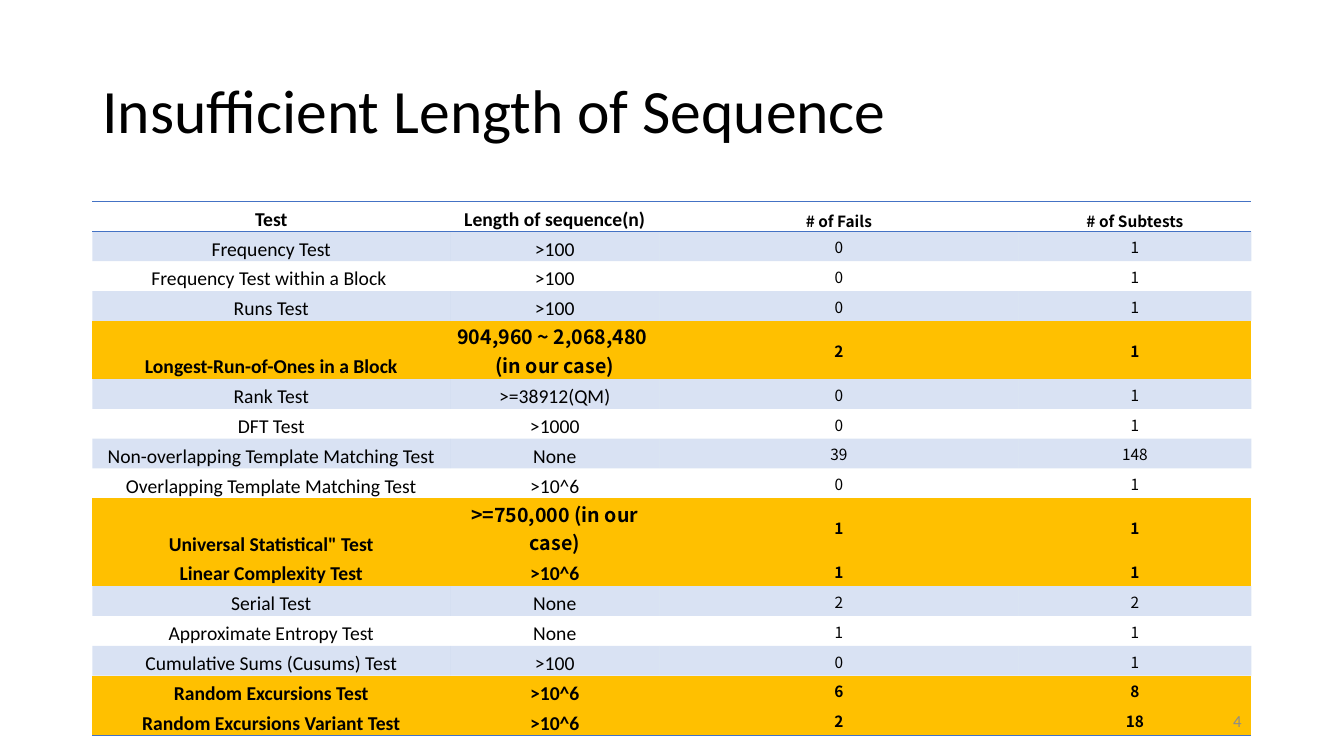
from pptx import Presentation
from pptx.dml.color import RGBColor
from pptx.enum.text import MSO_ANCHOR, PP_ALIGN
from pptx.oxml import parse_xml
from pptx.oxml.ns import nsdecls, qn
from pptx.util import Pt

MIDDLE, BOTTOM = MSO_ANCHOR.MIDDLE, MSO_ANCHOR.BOTTOM
LEFT, CENTER, RIGHT = PP_ALIGN.LEFT, PP_ALIGN.CENTER, PP_ALIGN.RIGHT

THEME = {
    "text": "000000", "muted": "8C8C8C", "accent": "4472C4", "highlight": "FFC000",
    "latin": "Calibri", "cjk": "Noto Sans CJK TC", "band_alpha": 20,
    "title_size": 44, "label_size": 14, "count_size": 11, "number_size": 12,
}
NO_STYLE = "{2D5ABB26-0587-4C30-8999-92F81FD0307C}"
CELL_FORMAT = {"margin_left": Pt(0.72), "margin_right": Pt(0.72),
               "margin_top": Pt(0.72), "margin_bottom": Pt(0)}

# Test, required length, fails, subtests
HEADINGS = ("Test", "Length of sequence(n)", "# of Fails", "# of Subtests")
RESULTS = [
    ("Frequency Test", ">100", 0, 1),
    ("Frequency Test within a Block ", ">100", 0, 1),
    ("Runs Test", ">100", 0, 1),
    ("Longest-Run-of-Ones in a Block", "904,960 ~ 2,068,480 \n(in our case)", 2, 1),
    ("Rank Test", ">=38912(QM)", 0, 1),
    ("DFT Test", ">1000", 0, 1),
    ("Non-overlapping Template Matching Test", "None", 39, 148),
    ("Overlapping Template Matching Test", ">10^6", 0, 1),
    ('Universal Statistical" Test', ">=750,000 (in our case)", 1, 1),
    ("Linear Complexity Test", ">10^6", 1, 1),
    ("Serial Test", "None", 2, 2),
    ("Approximate Entropy Test", "None", 1, 1),
    ("Cumulative Sums (Cusums) Test", ">100", 0, 1),
    ("Random Excursions Test", ">10^6", 6, 8),
    ("Random Excursions Variant Test", ">10^6", 2, 18),
]
TOO_SHORT = {4, 9, 10, 14, 15}
LAST_ROW = len(RESULTS)


def write(frame, text, size, font, color, align, bold=False):
    frame.text = text
    for paragraph in frame.paragraphs:
        paragraph.alignment = align
        style = {"size": Pt(size), "name": font, "bold": bold}
        for run in paragraph.runs:
            for name, value in style.items():
                setattr(run.font, name, value)
            run.font.color.rgb = RGBColor.from_string(color)


def rule(cell, side):
    cell._tc.get_or_add_tcPr().append(parse_xml(
        f'<a:{side} {nsdecls("a")} w="{Pt(1)}"><a:solidFill>'
        f'<a:srgbClr val="{THEME["accent"]}"/></a:solidFill></a:{side}>'))


deck = Presentation()
deck.slide_width, deck.slide_height = Pt(960), Pt(540)
slide = deck.slides.add_slide(deck.slide_layouts[5])

# Title
title = slide.shapes.title
title_box = {"left": Pt(66), "top": Pt(28.8), "width": Pt(828), "height": Pt(104.4)}
for name, value in title_box.items():
    setattr(title, name, value)
title.text_frame.vertical_anchor = MIDDLE
write(title.text_frame, "Insufficient Length of Sequence", THEME["title_size"],
      THEME["latin"], THEME["text"], LEFT)
title.text_frame.paragraphs[0].line_spacing = 0.9

# Results table
row_height = Pt(21.3)
results_frame = slide.shapes.add_table(LAST_ROW + 1, len(HEADINGS), Pt(66), Pt(144),
                                       Pt(828), row_height * (LAST_ROW + 1))
results = results_frame.table
results.first_row = results.horz_banding = False
results._tbl.tblPr.find(qn("a:tableStyleId")).text = NO_STYLE
for column, width in zip(results.columns, (255.6, 149.4, 256.5, 166.5)):
    column.width = Pt(width)
for row in results.rows:
    row.height = row_height

for r, record in enumerate([HEADINGS, *RESULTS]):
    highlighted = r in TOO_SHORT
    for c, value in enumerate(record):
        cell = results.cell(r, c)
        is_count = c >= 2
        for name, setting in CELL_FORMAT.items():
            setattr(cell, name, setting)
        cell.vertical_anchor = MIDDLE if is_count and r else BOTTOM
        our_case = "our case" in str(value)
        write(cell.text_frame, str(value),
              THEME["count_size" if is_count else "label_size"],
              THEME["cjk" if is_count or our_case else "latin"],
              THEME["text"], CENTER, bold=r == 0 or highlighted)

        # Rules above and below the header and under the last row
        if r == 0:
            rule(cell, "lnT")
        if r in (0, LAST_ROW):
            rule(cell, "lnB")

        # Highlighted, banded or clear background
        if highlighted or r % 2:
            cell.fill.solid()
            shade = THEME["highlight" if highlighted else "accent"]
            cell.fill.fore_color.rgb = RGBColor.from_string(shade)
            if not highlighted:
                tint = cell._tc.tcPr.find(qn("a:solidFill")).find(qn("a:srgbClr"))
                tint.append(parse_xml(
                    f'<a:alpha {nsdecls("a")} val="{THEME["band_alpha"] * 1000}"/>'))
        else:
            cell.fill.background()

# Slide number
page_number = slide.shapes.add_textbox(Pt(678), Pt(500.5), Pt(216), Pt(28.8)).text_frame
page_number.word_wrap = True
page_number.vertical_anchor = MIDDLE
write(page_number, "4", THEME["number_size"], THEME["latin"], THEME["muted"], RIGHT)

deck.save("out.pptx")
